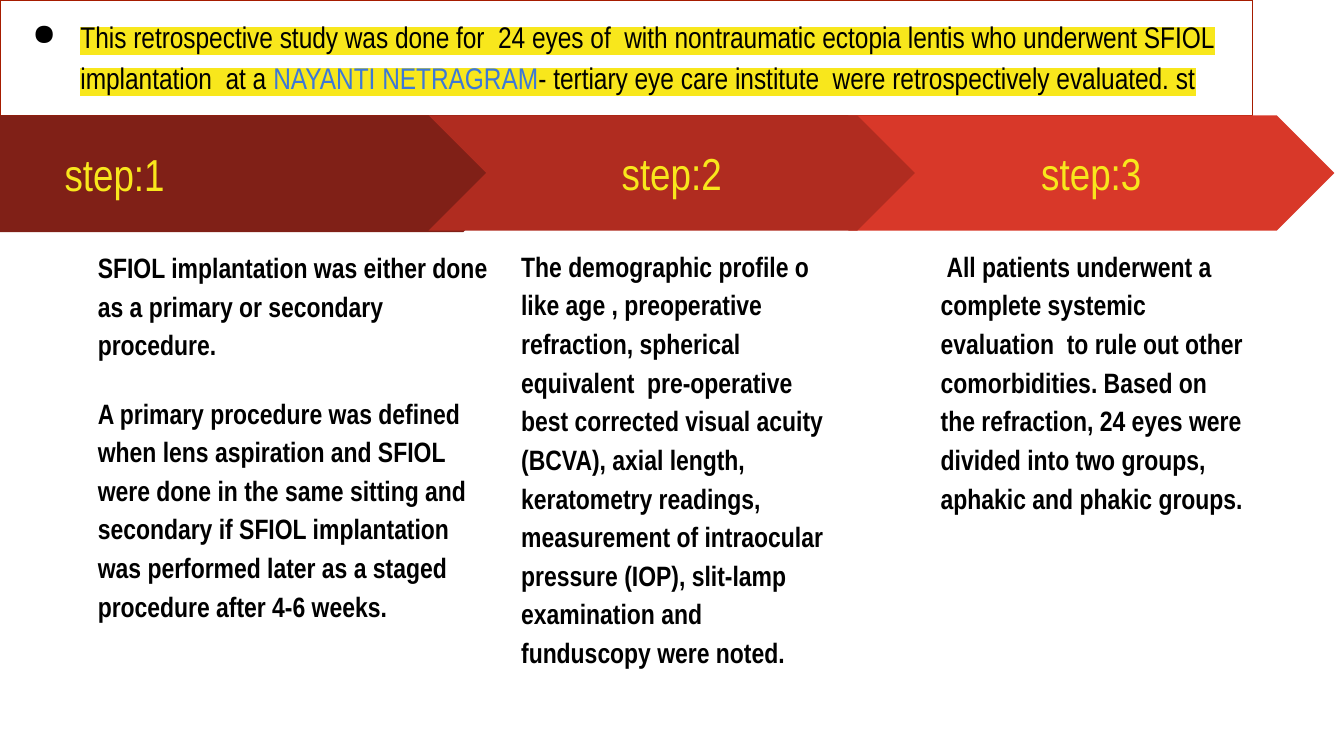
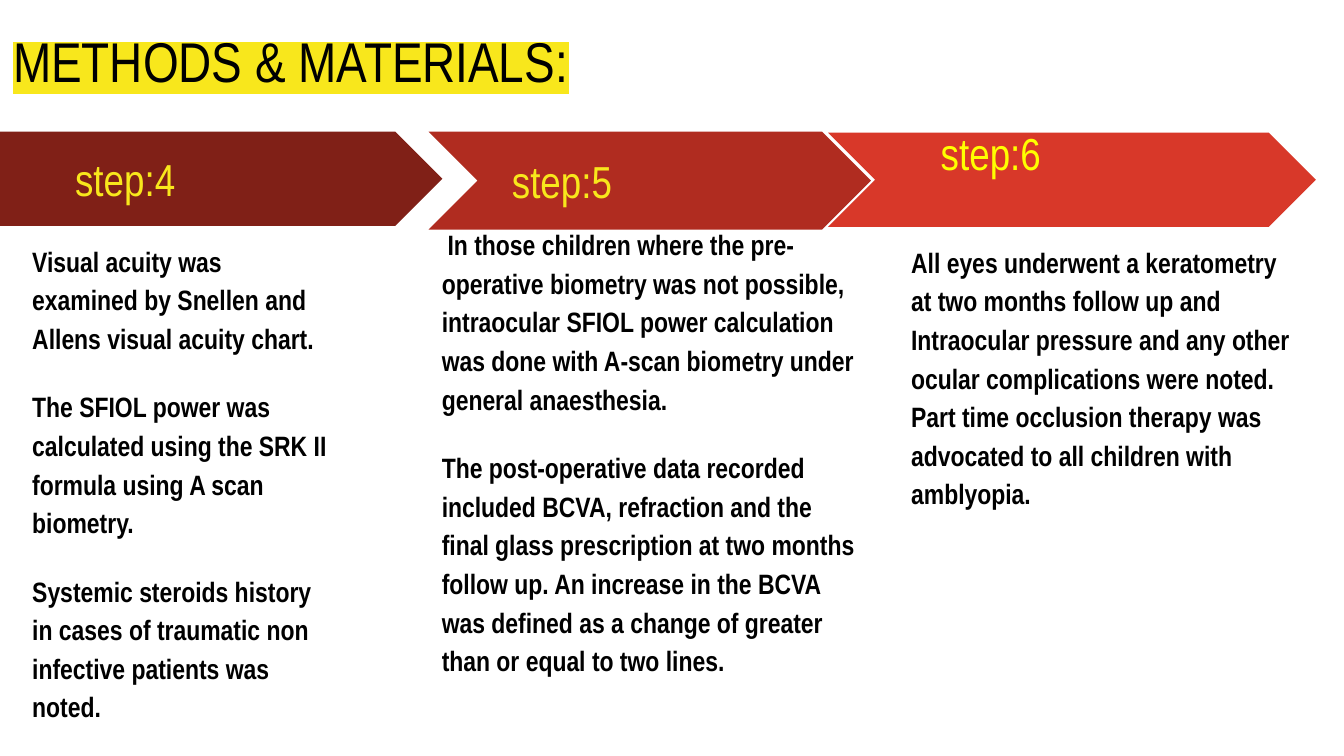
from lxml import etree
from pptx import Presentation
from pptx import util as u
from pptx.dml.color import RGBColor
from pptx.enum import shapes, text
from pptx.oxml import ns

FONT = "Arial Narrow"
INSET = 0.25
COLORS = {
    "black": "000000",
    "highlight": "F8E71C",
    "label": "F8E71C",
    "bright_label": "FFFF00",
    "institute": "3C78D8",
    "border": "A61C00",
    "first": "802017",
    "middle": "B02C20",
    "last": "D83829",
}

# Each step: label, fill, label colour, arrow box, label inset (None = centred),
# bottom inset, text box, text left inset, first-line indent, paragraphs
SLIDES = [
    {
        "title_box": (0, 0, 23.67, 2.18),
        "title_size": 16,
        "title_runs": [
            ("This retrospective study was done for  24 eyes of  with nontraumatic "
             "ectopia lentis who underwent SFIOL implantation  at a ", "black"),
            ("NAYANTI NETRAGRAM", "institute"),
            ("- tertiary eye care institute  were retrospectively evaluated. st", "black"),
        ],
        "bulleted": True,
        "steps": [
            ("step:3", "last", "label", (16.03, 2.18, 9.19, 2.18), None, INSET,
             (17.53, 4.37, 6.22, 7.49), INSET, 0.11, [
                "All patients underwent a complete systemic evaluation  to rule out other "
                "comorbidities. Based on the refraction, 24 eyes were divided into two "
                "groups, aphakic and phakic groups."]),
            ("step:1", "first", "label", (0, 2.18, 9.86, 2.21), 1.22, INSET,
             (0.33, 4.39, 9.19, 8.99), 1.52, 0, [
                "SFIOL implantation was either done as a primary or secondary procedure.",
                "A primary procedure was defined when lens aspiration and SFIOL were done "
                "in the same sitting and secondary if SFIOL implantation was performed "
                "later as a staged procedure after 4-6 weeks."]),
            ("step:2", "middle", "label", (8.1, 2.18, 9.19, 2.18), None, INSET,
             (9.6, 4.37, 6.22, 9.68), INSET, 0, [
                "The demographic profile o  like age , preoperative refraction, spherical "
                "equivalent  pre-operative best corrected visual acuity (BCVA), axial "
                "length, keratometry readings, measurement of intraocular pressure (IOP), "
                "slit-lamp examination and funduscopy were noted."]),
        ],
    },
    {
        "title_box": (0, 0.25, 23.67, 1.6),
        "title_size": 30,
        "title_runs": [("METHODS & MATERIALS:", "black")],
        "bulleted": False,
        "steps": [
            ("step:6", "last", "bright_label", (15.65, 2.51, 9.22, 1.78), 1.24, 1.27,
             (16.97, 4.29, 7.85, 9.98), INSET, 0, [
                "All eyes underwent a keratometry at two months follow up and  Intraocular "
                "pressure and any other ocular complications were noted. Part time "
                "occlusion therapy was advocated to all children with amblyopia."]),
            ("step:4", "first", "label", (0, 2.49, 8.36, 1.78), 1.42, INSET,
             (0.36, 4.27, 6.07, 9.75), INSET, 0, [
                "Visual acuity was examined by Snellen and Allens visual acuity chart.",
                "The SFIOL power was calculated using the SRK II formula using A scan "
                "biometry.",
                "Systemic steroids history in cases of traumatic non infective patients "
                "was noted."]),
            ("step:5", "middle", "label", (8.1, 2.49, 8.36, 1.85), 0.65, INSET,
             (8.1, 3.96, 8.36, 10.34), INSET, 0.11, [
                "In those children where the pre-operative biometry was not possible, "
                "intraocular SFIOL power calculation was done with A-scan biometry under "
                "general anaesthesia.",
                "The post-operative data recorded included BCVA, refraction and the final "
                "glass prescription at two months follow up. An increase in the BCVA was "
                "defined as a change of greater than or equal to two lines."]),
        ],
    },
]


def set_font(font, size, color, bold=False):
    font.name = FONT
    font.size = u.Pt(size)
    font.bold = bold
    font.color.rgb = RGBColor.from_string(COLORS[color])


def set_frame(frame, anchor, left=INSET, bottom=INSET):
    frame.word_wrap = True
    frame.auto_size = text.MSO_AUTO_SIZE.NONE
    frame.vertical_anchor = anchor
    frame.margin_left, frame.margin_bottom = u.Cm(left), u.Cm(bottom)
    frame.margin_top = frame.margin_right = u.Cm(INSET)


presentation = Presentation()
presentation.slide_width, presentation.slide_height = u.Cm(25.4), u.Cm(14.29)

for content in SLIDES:
    slide = presentation.slides.add_slide(presentation.slide_layouts[5])

    # Highlighted title
    title = slide.shapes.title
    title.left, title.top, title.width, title.height = map(u.Cm, content["title_box"])
    set_frame(title.text_frame, text.MSO_ANCHOR.TOP)
    paragraph = title.text_frame.paragraphs[0]
    paragraph.alignment = text.PP_ALIGN.LEFT
    if content["bulleted"]:
        title.line.color.rgb = RGBColor.from_string(COLORS["border"])
        title.line.width = u.Pt(0.75)
        paragraph.line_spacing = 1.15
        properties = paragraph._p.get_or_add_pPr()
        properties.set("marL", str(u.Cm(1.27)))
        properties.set("indent", str(u.Cm(-0.91)))
        bullet_color = etree.SubElement(properties, ns.qn("a:buClr"))
        etree.SubElement(bullet_color, ns.qn("a:srgbClr"), val=COLORS["black"])
        etree.SubElement(properties, ns.qn("a:buChar"), char="●")
    set_font(paragraph.font, content["title_size"], "black")
    for words, color in content["title_runs"]:
        run = paragraph.add_run()
        run.text = words
        run.font.color.rgb = RGBColor.from_string(COLORS[color])
        highlight = etree.SubElement(run._r.get_or_add_rPr(), ns.qn("a:highlight"))
        etree.SubElement(highlight, ns.qn("a:srgbClr"), val=COLORS["highlight"])

    for (label, fill, label_color, arrow_box, label_inset, label_bottom,
         text_box, text_inset, first_indent, paragraphs) in content["steps"]:
        # Step arrow
        kind = shapes.MSO_SHAPE.PENTAGON if fill == "first" else shapes.MSO_SHAPE.CHEVRON
        arrow = slide.shapes.add_shape(kind, *map(u.Cm, arrow_box))
        arrow.adjustments[0] = 0.5
        arrow.shadow.inherit = False
        arrow.fill.solid()
        arrow.fill.fore_color.rgb = RGBColor.from_string(COLORS[fill])
        arrow.line.fill.background()
        centred = label_inset is None
        set_frame(arrow.text_frame, text.MSO_ANCHOR.MIDDLE,
                  INSET if centred else label_inset, label_bottom)
        paragraph = arrow.text_frame.paragraphs[0]
        paragraph.text = label
        paragraph.alignment = text.PP_ALIGN.CENTER if centred else text.PP_ALIGN.LEFT
        set_font(paragraph.font, 24, label_color)

        # Step description
        description = slide.shapes.add_textbox(*map(u.Cm, text_box))
        frame = description.text_frame
        set_frame(frame, text.MSO_ANCHOR.TOP, text_inset)
        for index, words in enumerate(paragraphs):
            paragraph = frame.add_paragraph() if index else frame.paragraphs[0]
            paragraph.text = words
            paragraph.line_spacing = 1.15
            if index:
                paragraph.space_before = u.Pt(16)
            elif first_indent:
                paragraph._p.get_or_add_pPr().set("indent", str(u.Cm(first_indent)))
            set_font(paragraph.font, 15, "black", bold=True)

presentation.save("out.pptx")
